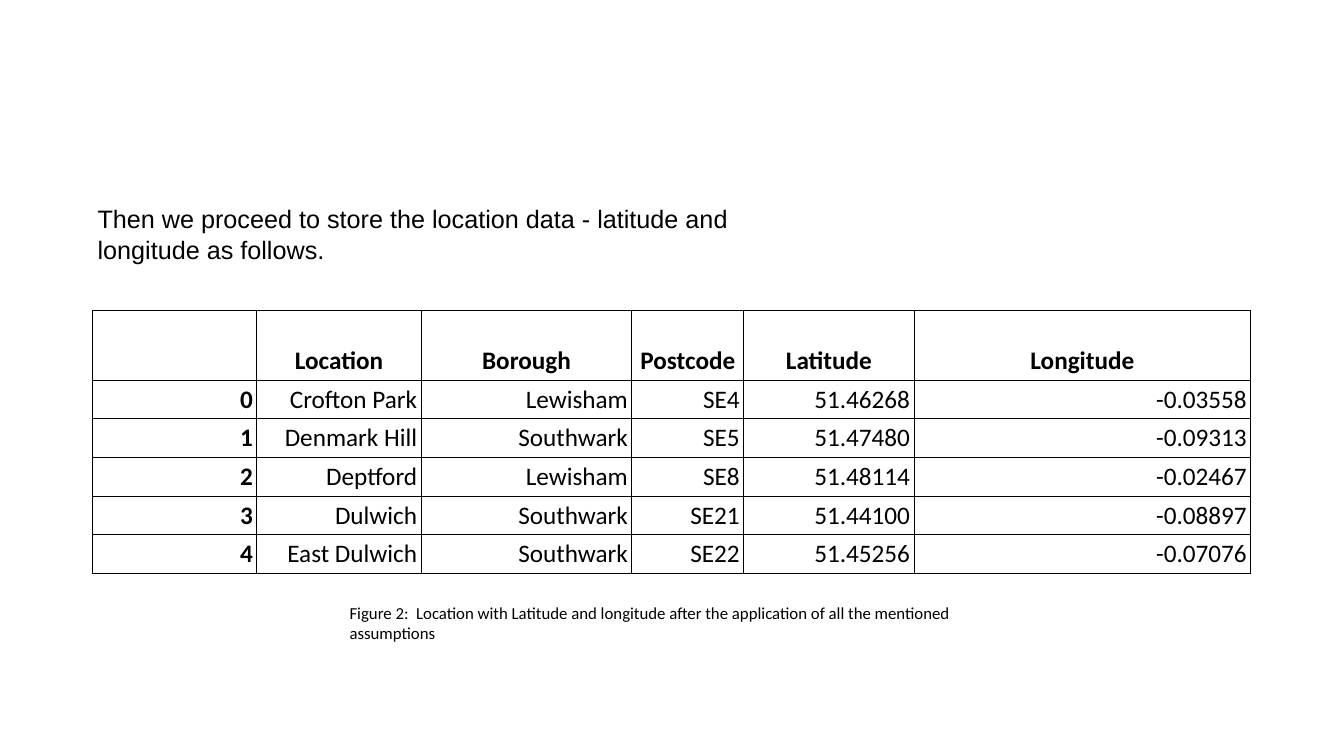
from lxml import etree
from pptx import Presentation
from pptx.dml.color import RGBColor
from pptx.enum import text
from pptx.oxml import ns
from pptx.util import Pt

BLACK = RGBColor(0x00, 0x00, 0x00)
CELL_MARGIN = Pt(2.88)
BORDER_WIDTH = Pt(0.75)


def write(frame, wording, size=18, font="Calibri", bold=False, align=text.PP_ALIGN.LEFT):
    frame.word_wrap = True
    paragraph = frame.paragraphs[0]
    paragraph.alignment = align
    run = paragraph.add_run()
    run.text = wording
    run.font.size = Pt(size)
    run.font.name = font
    run.font.bold = bold
    run.font.color.rgb = BLACK


deck = Presentation()
deck.slide_width = Pt(960)
deck.slide_height = Pt(540)
slide = deck.slides.add_slide(deck.slide_layouts[6])

intro = slide.shapes.add_textbox(Pt(62.6), Pt(142), Pt(480), Pt(51))
write(intro.text_frame,
      "Then we proceed to store the location data - latitude and longitude as follows.",
      font="Arial")

locations = [
    ("", "Location", "Borough", "Postcode", "Latitude", "Longitude"),
    ("0", "Crofton Park", "Lewisham", "SE4", "51.46268", "-0.03558"),
    ("1", "Denmark Hill", "Southwark", "SE5", "51.47480", "-0.09313"),
    ("2", "Deptford", "Lewisham", "SE8", "51.48114", "-0.02467"),
    ("3", "Dulwich", "Southwark", "SE21", "51.44100", "-0.08897"),
    ("4", "East Dulwich", "Southwark", "SE22", "51.45256", "-0.07076"),
]
column_widths = [117.4, 117.4, 150.5, 79.9, 121.7, 240.5]
row_heights = [50] + [27.6] * 5

grid = slide.shapes.add_table(
    len(locations), len(column_widths), Pt(66.1), Pt(221.6),
    Pt(sum(column_widths)), Pt(sum(row_heights))).table
grid.first_row = False
grid.horz_banding = False
for column, width in zip(grid.columns, column_widths):
    column.width = Pt(width)
for row, height in zip(grid.rows, row_heights):
    row.height = Pt(height)

for r, record in enumerate(locations):
    for c, value in enumerate(record):
        cell = grid.cell(r, c)
        cell.margin_left = cell.margin_right = CELL_MARGIN
        cell.margin_top = cell.margin_bottom = CELL_MARGIN
        header = r == 0
        cell.vertical_anchor = text.MSO_ANCHOR.BOTTOM if header else text.MSO_ANCHOR.MIDDLE
        if value:
            write(cell.text_frame, value, bold=header or c == 0,
                  align=text.PP_ALIGN.CENTER if header else text.PP_ALIGN.RIGHT)
        cell.fill.background()
        properties = cell._tc.get_or_add_tcPr()
        for position, side in enumerate(("lnL", "lnR", "lnT", "lnB")):
            border = etree.Element(ns.qn(f"a:{side}"), w=str(BORDER_WIDTH))
            ink = etree.SubElement(border, ns.qn("a:solidFill"))
            etree.SubElement(ink, ns.qn("a:srgbClr"), val=str(BLACK))
            properties.insert(position, border)

caption = slide.shapes.add_textbox(Pt(242.6), Pt(427), Pt(492), Pt(36))
write(caption.text_frame,
      "Figure 2:  Location with Latitude and longitude after the application "
      "of all the mentioned assumptions",
      size=12)

deck.save("out.pptx")
